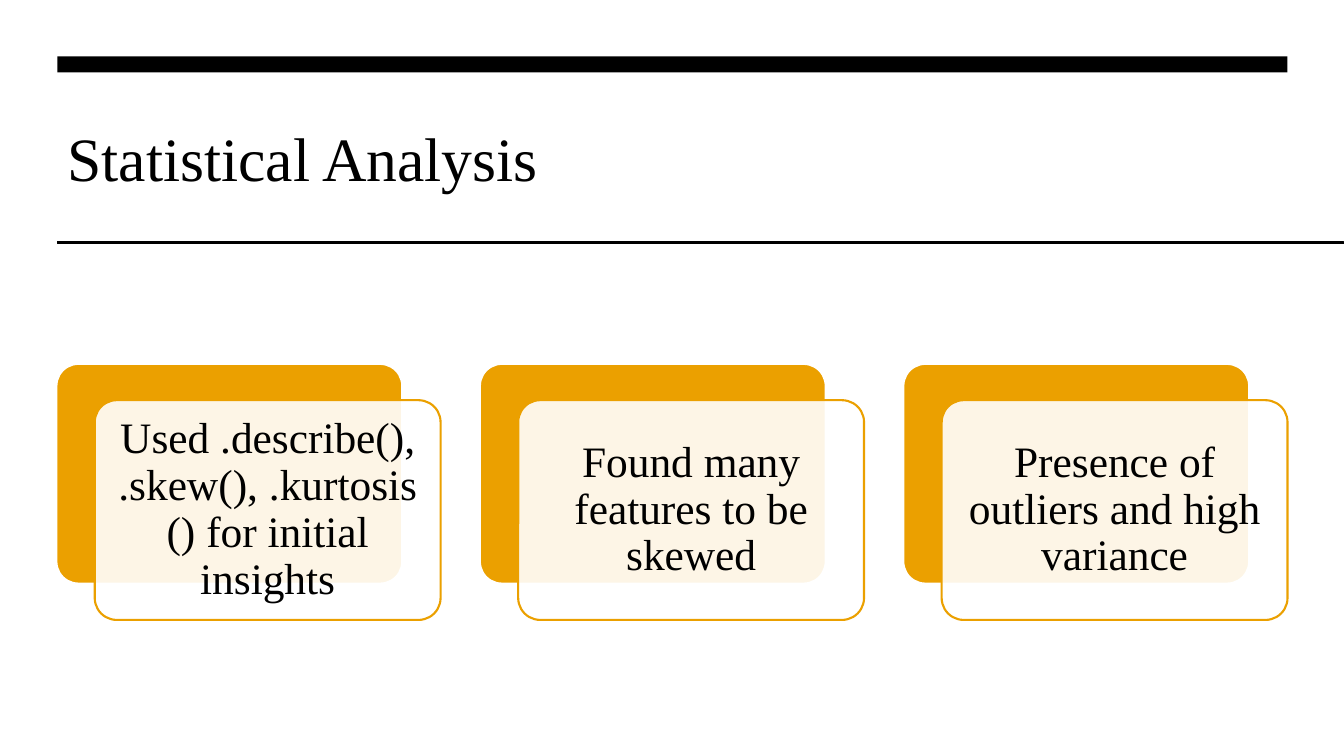
from lxml.etree import SubElement
from pptx import Presentation
from pptx.dml.color import RGBColor
from pptx.enum.shapes import MSO_SHAPE
from pptx.enum.text import MSO_ANCHOR, PP_ALIGN
from pptx.oxml.ns import qn
from pptx.util import Inches, Pt

FONT = "Times New Roman"
BLACK, WHITE, AMBER = "000000", "FFFFFF", "EBA000"
FINDINGS = [
    "Used .describe(), .skew(), .kurtosis() for initial insights",
    "Found many features to be skewed",
    "Presence of outliers and high variance",
]


def color(value):
    """Return the colour for a hex string."""
    return RGBColor.from_string(value)


def add_box(page, kind, left, top, width, height, fill, line=None, weight=1.5):
    """Add a flat filled shape, outlined when a line colour is given."""
    box = page.shapes.add_shape(
        kind, Inches(left), Inches(top), Inches(width), Inches(height))
    box.shadow.inherit = False
    box.fill.solid()
    box.fill.fore_color.rgb = color(fill)
    if line:
        box.line.color.rgb = color(line)
        box.line.width = Pt(weight)
    else:
        box.line.fill.background()
    return box


def write(frame, text, size, align, margins, anchor):
    """Set one formatted paragraph in a text frame."""
    frame.text = text
    frame.word_wrap = True
    frame.vertical_anchor = anchor
    frame.margin_left = frame.margin_right = Inches(margins[0])
    frame.margin_top = frame.margin_bottom = Inches(margins[1])
    para = frame.paragraphs[0]
    para.alignment = align
    font = para.runs[0].font
    font.name, font.size = FONT, Pt(size)
    font.color.rgb = color(BLACK)
    return para


def add_header(page, left, top, width):
    """Place the thick bar, the title and the rule that runs to the slide edge."""
    title = page.shapes.title
    title.left, title.top = Inches(left), Inches(top + 0.51)
    title.width, title.height = Inches(width), Inches(1.6)
    write(title.text_frame, "Statistical Analysis", 44,
          PP_ALIGN.LEFT, (0.1, 0.12), MSO_ANCHOR.TOP)
    add_box(page, MSO_SHAPE.RECTANGLE, left, top, width, 0.16, BLACK)
    add_box(page, MSO_SHAPE.RECTANGLE, left, top + 1.84, 13.33 - left, 0.02,
            BLACK, BLACK, 0.75)


def add_card(page, left, top, width, height, text):
    """Place an amber card with a translucent text card offset in front of it."""
    offset_x, offset_y = 0.38, 0.36
    back = add_box(page, MSO_SHAPE.ROUNDED_RECTANGLE, left, top,
                   width - offset_x, height - offset_y, AMBER, WHITE)
    front = add_box(page, MSO_SHAPE.ROUNDED_RECTANGLE, left + offset_x, top + offset_y,
                    width - offset_x, height - offset_y, WHITE, AMBER)
    for box in (back, front):
        box.adjustments[0] = 0.1
    fill = front.fill.fore_color._xFill.find(qn("a:srgbClr"))
    SubElement(fill, qn("a:alpha"), val="90000")
    para = write(front.text_frame, text, 31, PP_ALIGN.CENTER,
                 (0.16, 0.16), MSO_ANCHOR.MIDDLE)
    para.line_spacing = 0.9


def add_findings(page, left, top, width, height):
    """Spread the finding cards evenly across the given box."""
    card_width = 3.81
    step = (width - card_width) / (len(FINDINGS) - 1)
    for index, text in enumerate(FINDINGS):
        add_card(page, left + index * step, top, card_width, height, text)


def main():
    """Build the slide and save the deck."""
    deck = Presentation()
    deck.slide_width, deck.slide_height = Inches(13.33), Inches(7.5)
    page = deck.slides.add_slide(deck.slide_layouts[5])
    add_header(page, 0.57, 0.56, 12.2)
    add_findings(page, 0.56, 3.61, 12.21, 2.54)
    deck.save("out.pptx")


if __name__ == "__main__":
    main()
